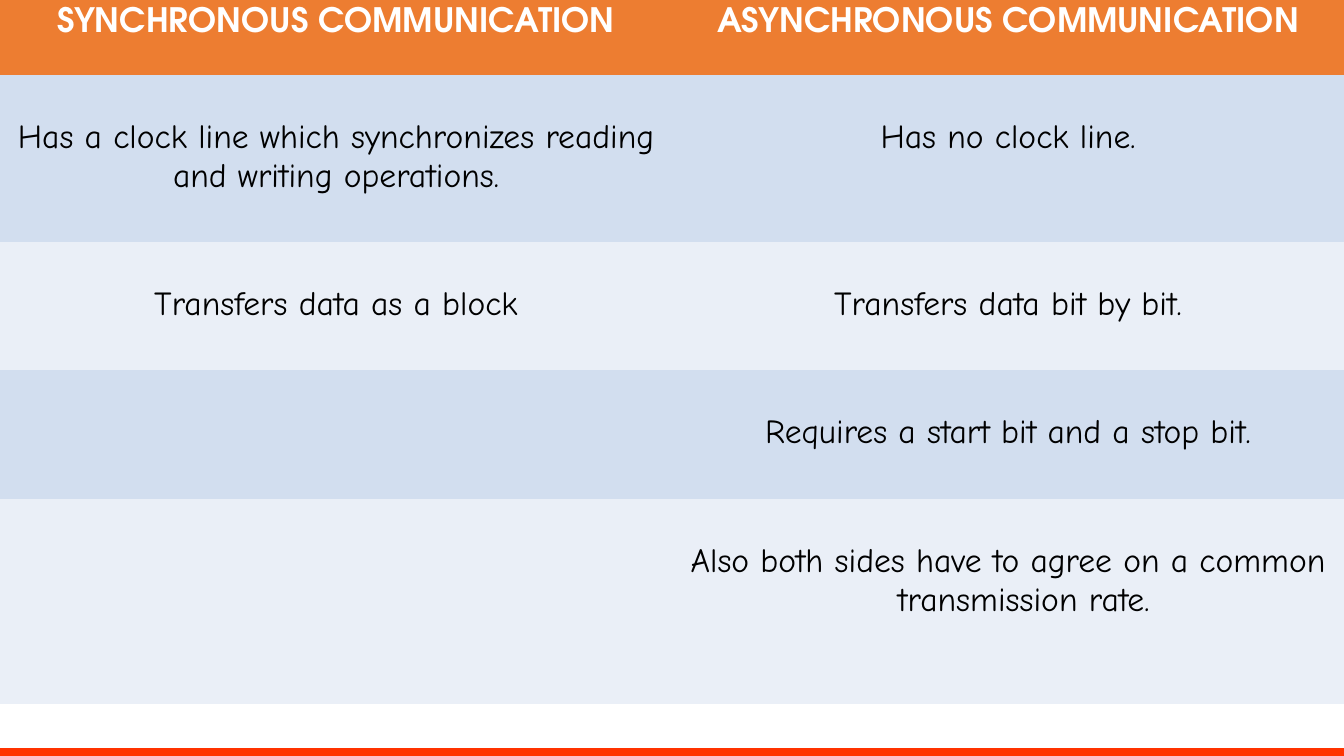
import pptx
import pptx.dml.color
import pptx.enum.text
import pptx.oxml.ns
import pptx.util

Cm = pptx.util.Cm
Pt = pptx.util.Pt
RGBColor = pptx.dml.color.RGBColor
qn = pptx.oxml.ns.qn

# Content
HEADINGS = ("SYNCHRONOUS COMMUNICATION", "ASYNCHRONOUS COMMUNICATION")
COMPARISON = [
    ("Has a clock line which synchronizes reading and writing operations.",
     "Has no clock line."),
    ("Transfers data as a block", "Transfers data bit by bit."),
    ("", "Requires a start bit and a stop bit."),
    ("", "Also both sides have to agree on a common transmission rate."),
]

# Format
SLIDE_WIDTH, SLIDE_HEIGHT = Cm(33.87), Cm(19.05)
ROW_HEIGHTS = [Cm(height) for height in (1.89, 4.21, 3.23, 3.25, 5.17)]
BODY_TOP_MARGIN = Cm(1.09)
HANGING_INDENT = Cm(0.79)
WHITE = RGBColor(0xFF, 0xFF, 0xFF)
BLACK = RGBColor(0, 0, 0)
ORANGE = RGBColor(0xED, 0x7D, 0x31)
RED = RGBColor(0xFF, 0x33, 0x00)
BANDS = (RGBColor(0xD2, 0xDE, 0xEF), RGBColor(0xEA, 0xEF, 0xF7))
PLAIN_TABLE_STYLE = "{2D5ABB26-0587-4C30-8999-92F81FD0307C}"


def write_cell(cell, text, fill, font="Comic Neue", color=BLACK, bold=False,
               top=BODY_TOP_MARGIN, line_spacing=None, hanging=0):
    cell.fill.solid()
    cell.fill.fore_color.rgb = fill
    if not text:
        return
    cell.margin_top = top
    paragraph = cell.text_frame.paragraphs[0]
    paragraph.alignment = pptx.enum.text.PP_ALIGN.CENTER
    paragraph.line_spacing = line_spacing
    if hanging:
        properties = paragraph._p.get_or_add_pPr()
        properties.set("marL", str(hanging))
        properties.set("indent", str(-hanging))
    run = paragraph.add_run()
    run.text = text
    run.font.name = font
    run.font.size = Pt(24)
    run.font.bold = bold
    run.font.color.rgb = color


def paint_background(slide):
    """White, with a sharp change to red at the bottom edge."""
    fill = slide.background.fill
    fill.gradient()
    fill.gradient_angle = 270
    for stop, color in zip(fill.gradient_stops, (WHITE, RED)):
        stop.position = 0.99
        stop.color.rgb = color


def add_comparison(slide):
    columns = len(HEADINGS)
    shape = slide.shapes.add_table(len(ROW_HEIGHTS), columns, 0, 0,
                                   SLIDE_WIDTH, sum(ROW_HEIGHTS))
    table = shape.table
    table.first_row = table.horz_banding = False
    table._tbl.tblPr.find(qn("a:tableStyleId")).text = PLAIN_TABLE_STYLE
    for row, height in zip(table.rows, ROW_HEIGHTS):
        row.height = height

    # Heading row
    for column, heading in enumerate(HEADINGS):
        write_cell(table.cell(0, column), heading, ORANGE,
                   font="TeX Gyre Adventor", color=WHITE, bold=True,
                   top=Cm(0.13), line_spacing=Pt(24))

    # Banded rows, the last one with a hanging indent
    for index, texts in enumerate(COMPARISON, start=1):
        hanging = HANGING_INDENT if index == len(COMPARISON) else 0
        for column, text in enumerate(texts):
            write_cell(table.cell(index, column), text,
                       BANDS[(index - 1) % 2], hanging=hanging)


def main():
    presentation = pptx.Presentation()
    presentation.slide_width = SLIDE_WIDTH
    presentation.slide_height = SLIDE_HEIGHT
    slide = presentation.slides.add_slide(presentation.slide_layouts[6])
    paint_background(slide)
    add_comparison(slide)
    presentation.save("out.pptx")


if __name__ == "__main__":
    main()
